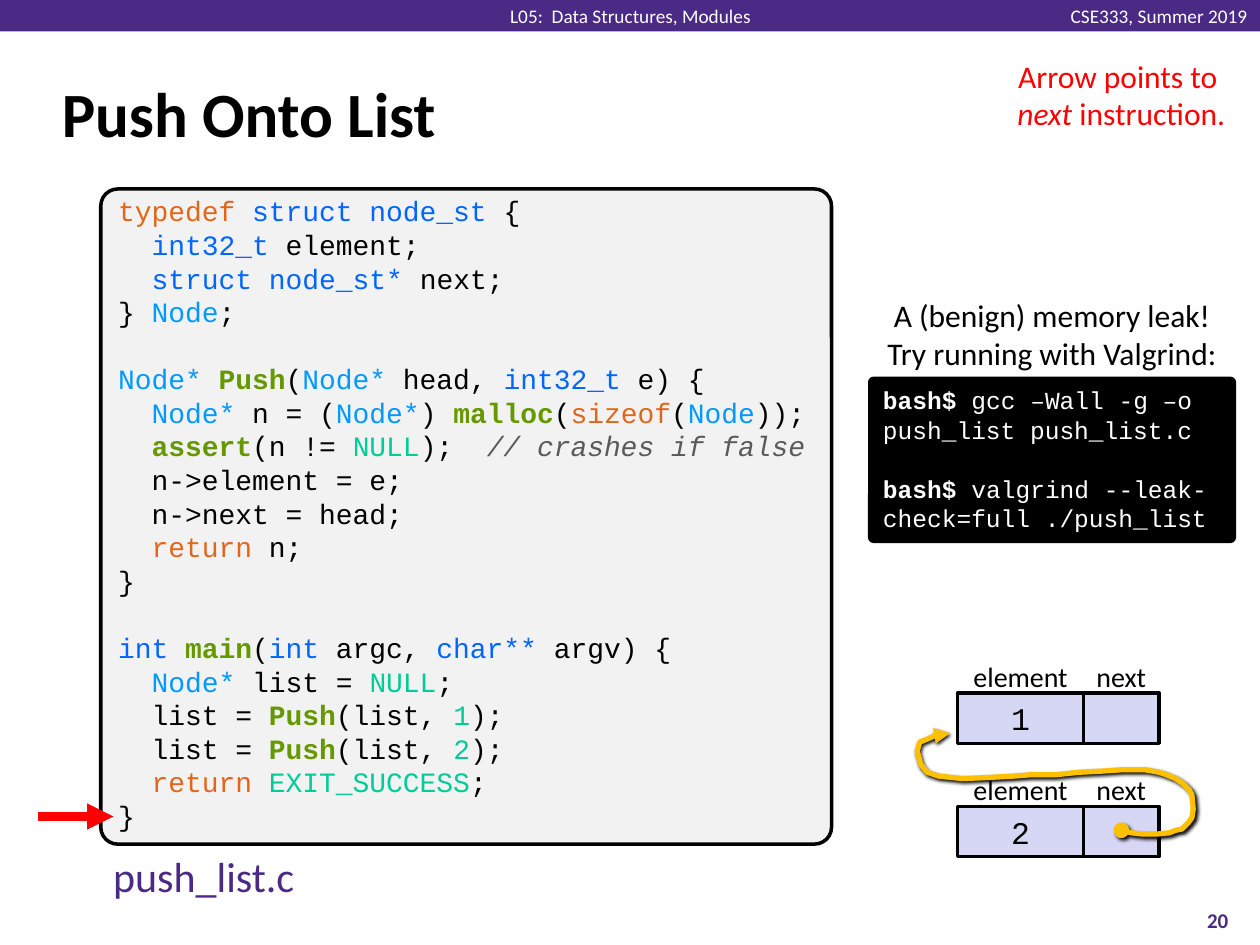
"""Build the "Push Onto List" slide: code listing, terminal box and linked nodes."""
import functools
from dataclasses import dataclass
from typing import Optional

import pptx
import pptx.dml.color
import pptx.enum.shapes
import pptx.enum.text
import pptx.oxml
import pptx.oxml.ns
import pptx.util

PX = 9144
SHAPE = pptx.enum.shapes.MSO_SHAPE
ALIGN = pptx.enum.text.PP_ALIGN
ANCHOR = pptx.enum.text.MSO_ANCHOR


@dataclass(frozen=True)
class Theme:
    sans: str = "Calibri"
    mono: str = "Courier New"
    purple: str = "4B2A85"
    white: str = "FFFFFF"
    black: str = "000000"
    red: str = "FF0000"
    panel: str = "F2F2F2"
    cell: str = "D6D6F5"
    pointer: str = "FFC000"
    keyword: str = "E2661A"
    builtin: str = "0066FF"
    custom: str = "0099FF"
    function: str = "669900"
    constant: str = "00CC99"
    comment: str = "5A5A5A"
    header_size: int = 11
    number_size: int = 12
    terminal_size: int = 14
    code_size: int = 16
    body_size: int = 18
    file_size: int = 24
    title_size: int = 36


THEME = Theme()


@dataclass(frozen=True)
class Span:
    text: str
    color: Optional[str] = None
    bold: bool = False
    italic: bool = False


@dataclass(frozen=True)
class Style:
    size: int
    color: str = THEME.black
    font: str = THEME.sans
    bold: bool = False
    align: ALIGN = ALIGN.LEFT
    anchor: ANCHOR = ANCHOR.TOP
    insets: tuple = (10, 5, 10, 5)
    wrap: bool = True
    gap: float = 0


@dataclass(frozen=True)
class Node:
    top: int
    value: str


keyword = functools.partial(Span, color=THEME.keyword)
builtin = functools.partial(Span, color=THEME.builtin)
custom = functools.partial(Span, color=THEME.custom)
function = functools.partial(Span, color=THEME.function, bold=True)
constant = functools.partial(Span, color=THEME.constant)
comment = functools.partial(Span, color=THEME.comment, italic=True)

CODE = [
    [keyword("typedef "), builtin("struct node_st "), "{"],
    ["  ", builtin("int32_t "), "element;"],
    ["  ", builtin("struct node_st* "), "next;"],
    ["} ", custom("Node"), ";"],
    [],
    [custom("Node* "), function("Push"), "(", custom("Node*"), " head, ", builtin("int32_t "), "e) {"],
    ["  ", custom("Node* "), "n = (", custom("Node*"), ") ", function("malloc"), "(",
     keyword("sizeof"), "(", custom("Node"), "));"],
    ["  ", function("assert"), "(n != ", constant("NULL"), ");  ", comment("// crashes if false")],
    ["  n->element = e;"],
    ["  n->next = head;"],
    ["  ", keyword("return"), " n;"],
    ["}"],
    [],
    [builtin("int "), function("main"), "(", builtin("int "), "argc, ", builtin("char** "), "argv) {"],
    ["  ", custom("Node* "), "list = ", constant("NULL"), ";"],
    *[["  list = ", function("Push"), "(list, ", constant(value), ");"] for value in "12"],
    ["  ", keyword("return "), constant("EXIT_SUCCESS"), ";"],
    ["}"],
]
PROMPT = Span("bash$ ", bold=True)
TERMINAL = [
    [PROMPT, "gcc –Wall -g –o push_list push_list.c"],
    [],
    [PROMPT, "valgrind --leak-check=full ./push_list"],
]
NODES = [Node(550, "1"), Node(640, "2")]
POINTER = [
    (890, 659), (898, 661), (907, 662), (918, 662), (928, 661), (933, 659), (938, 658), (943, 653),
    (946, 649), (947, 642), (946, 631), (944, 627), (939, 622), (933, 618), (926, 615), (920, 613),
    (909, 611), (900, 611), (890, 611), (875, 612), (856, 613), (837, 615), (817, 615), (805, 616),
    (786, 617), (764, 618), (745, 616), (736, 613), (731, 607), (729, 600), (728, 596), (730, 589),
    (735, 587), (744, 583), (754, 582),
]


def rgb(color: str) -> pptx.dml.color.RGBColor:
    """Turn a hexadecimal string into a colour."""
    return pptx.dml.color.RGBColor.from_string(color)


def write(shape, lines: list, style: Style) -> None:
    """Fill a shape with lines of spans; an empty line becomes space before the next."""
    frame = shape.text_frame
    frame.word_wrap = style.wrap
    frame.vertical_anchor = style.anchor
    frame.margin_left, frame.margin_top, frame.margin_right, frame.margin_bottom = (
        inset * PX for inset in style.insets)
    paragraph, pending = frame.paragraphs[0], False
    for index, line in enumerate(lines):
        if not line:
            pending = True
            continue
        if index:
            paragraph = frame.add_paragraph()
        if pending:
            paragraph.space_before = pptx.util.Pt(style.gap)
        pending = False
        paragraph.alignment = style.align
        for part in line:
            if part == "\v":
                paragraph.add_line_break()
                continue
            span = part if isinstance(part, Span) else Span(part)
            run = paragraph.add_run()
            run.text = span.text
            run.font.name = style.font
            run.font.size = pptx.util.Pt(style.size)
            run.font.bold = style.bold or span.bold
            run.font.italic = span.italic
            run.font.color.rgb = rgb(span.color or style.color)


def add_text(slide, box: tuple, lines: list, style: Style) -> None:
    """Add a text box at left, top, width, height."""
    write(slide.shapes.add_textbox(*(length * PX for length in box)), lines, style)


def add_box(slide, kind: SHAPE, box: tuple, fill: str, line: Optional[str] = None, width: float = 2):
    """Add a filled preset shape with an optional outline."""
    shape = slide.shapes.add_shape(kind, *(length * PX for length in box))
    shape.shadow.inherit = False
    shape.fill.solid()
    shape.fill.fore_color.rgb = rgb(fill)
    if line:
        shape.line.color.rgb = rgb(line)
        shape.line.width = pptx.util.Pt(width)
    else:
        shape.line.fill.background()
    if kind == SHAPE.ROUNDED_RECTANGLE:
        shape.adjustments[0] = 0.026
    return shape


def style_line(shape, color: str, width: float, **ends: str) -> None:
    """Colour a line and give it end markers, without a shadow."""
    shape.line.color.rgb = rgb(color)
    shape.line.width = pptx.util.Pt(width)
    namespace = pptx.oxml.ns.nsdecls("a")
    for tag, kind in ends.items():
        shape.line._get_or_add_ln().append(pptx.oxml.parse_xml(f'<a:{tag} {namespace} type="{kind}"/>'))
    shape._element.spPr.append(pptx.oxml.parse_xml(f"<a:effectLst {namespace}/>"))


def add_node(slide, node: Node) -> None:
    """Draw a list node with its two labelled fields."""
    value = Style(THEME.body_size, font=THEME.mono, align=ALIGN.CENTER)
    for left, width, label, inset in ((760, 100, "element", 10), (860, 60, "next", 5)):
        cell = add_box(slide, SHAPE.RECTANGLE, (left, node.top, width, 40), THEME.cell, THEME.black)
        if label == "element":
            write(cell, [[node.value]], value)
        caption = Style(THEME.code_size, align=ALIGN.CENTER, anchor=ANCHOR.MIDDLE, insets=(inset, 0, inset, 0))
        add_text(slide, (left, node.top - 27, width, 27), [[label]], caption)


def add_pointer(slide) -> None:
    """Draw the curved pointer from the second node to the first."""
    builder = slide.shapes.build_freeform(*POINTER[0], scale=PX)
    builder.add_line_segments(POINTER[1:], close=False)
    shape = builder.convert_to_shape()
    shape.fill.background()
    style_line(shape, THEME.pointer, 3, headEnd="oval", tailEnd="triangle")
    shape._element.spPr[-1].append(pptx.oxml.parse_xml(
        f'<a:outerShdw {pptx.oxml.ns.nsdecls("a")} blurRad="25400" dist="18000" dir="2700000">'
        f'<a:srgbClr val="{THEME.black}"/></a:outerShdw>'))


def main() -> None:
    """Assemble and save the slide."""
    presentation = pptx.Presentation()
    presentation.slide_width, presentation.slide_height = 1000 * PX, 750 * PX
    slide = presentation.slides.add_slide(presentation.slide_layouts[5])

    add_box(slide, SHAPE.RECTANGLE, (0, 0, 1000, 25), THEME.purple)
    header = functools.partial(Style, THEME.header_size, THEME.white, anchor=ANCHOR.MIDDLE,
                               insets=(10, 0, 10, 0), wrap=False)
    add_text(slide, (838, 3, 162, 19), [["CSE333, Summer 2019"]], header(align=ALIGN.RIGHT))
    add_text(slide, (394, 3, 213, 19), [["L05:  Data Structures, Modules"]], header(align=ALIGN.CENTER))
    title = slide.shapes.title
    title.left, title.top, title.width, title.height = (length * PX for length in (39, 48, 919, 83))
    write(title, [["Push Onto List"]], Style(THEME.title_size, bold=True, anchor=ANCHOR.MIDDLE))
    add_text(slide, (933, 710, 67, 40), [["20"]],
             Style(THEME.number_size, THEME.purple, bold=True, align=ALIGN.CENTER, anchor=ANCHOR.MIDDLE))
    add_text(slide, (80, 670, 220, 50), [["push_list.c"]], Style(THEME.file_size, THEME.purple))
    add_text(slide, (790, 40, 200, 71),
             [["Arrow points to ", "\v", Span("next", italic=True), " instruction."]],
             Style(THEME.body_size, THEME.red, align=ALIGN.CENTER))
    for node in NODES:
        add_node(slide, node)
    add_pointer(slide)
    add_text(slide, (680, 230, 310, 71), [["A (benign) memory leak!"], ["Try running with Valgrind:"]],
             Style(THEME.body_size, align=ALIGN.CENTER))

    terminal = add_box(slide, SHAPE.ROUNDED_RECTANGLE, (690, 300, 290, 130), THEME.black, THEME.black, 1.5)
    write(terminal, TERMINAL, Style(THEME.terminal_size, THEME.white, THEME.mono, gap=16.8))
    listing = add_box(slide, SHAPE.ROUNDED_RECTANGLE, (80, 150, 580, 520), THEME.panel, THEME.black)
    write(listing, CODE, Style(THEME.code_size, font=THEME.mono, insets=(10, 0, 10, 5), gap=19.2))
    arrow = slide.shapes.add_connector(
        pptx.enum.shapes.MSO_CONNECTOR.STRAIGHT, *(length * PX for length in (30, 648, 90, 648)))
    style_line(arrow, THEME.red, 5, tailEnd="triangle")
    presentation.save("out.pptx")


if __name__ == "__main__":
    main()
